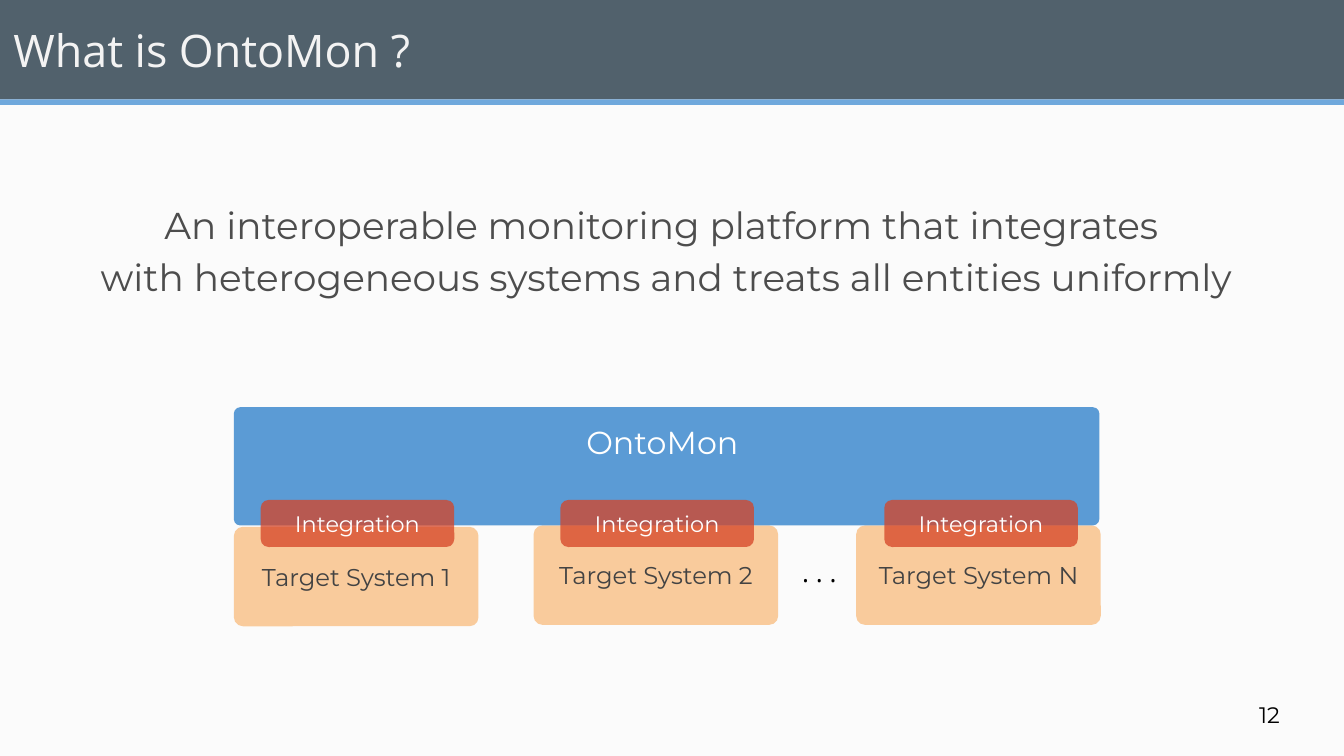
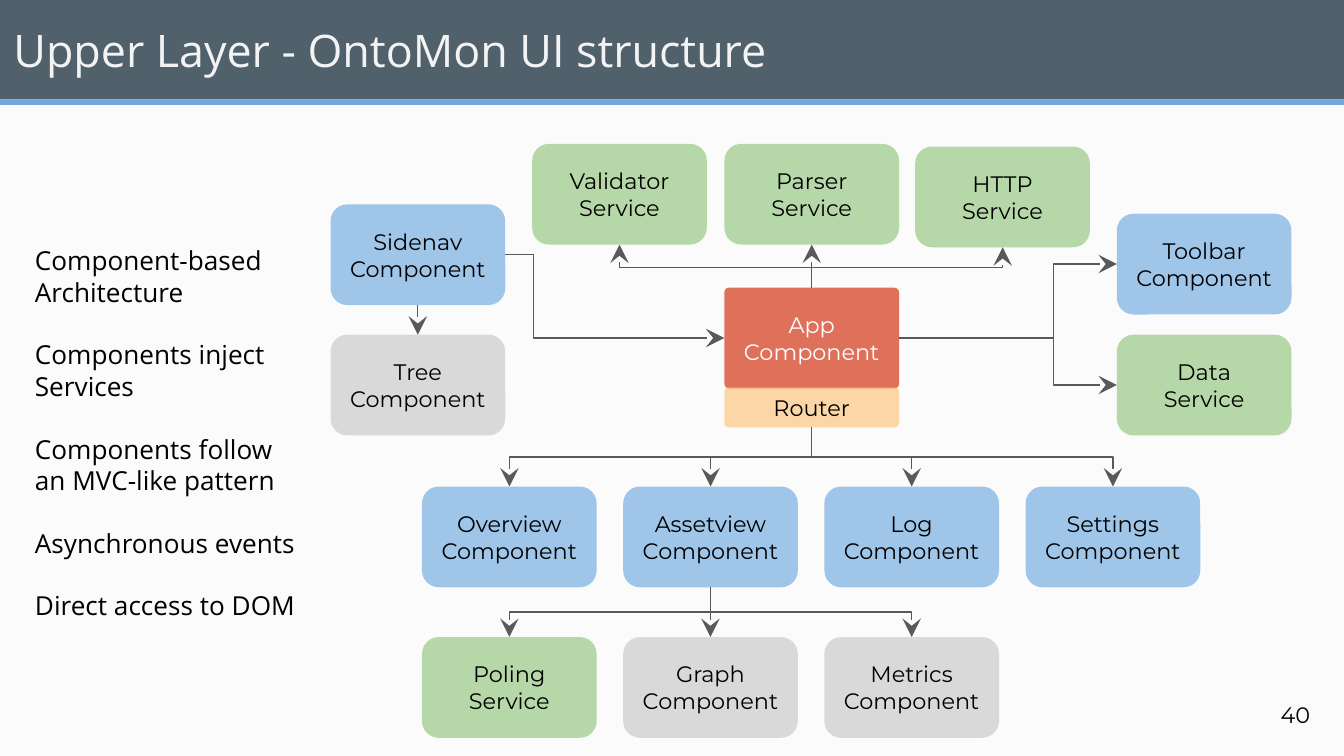
from lxml import etree
from pptx import Presentation
from pptx.dml.color import RGBColor
from pptx.enum import shapes, text
from pptx.oxml.ns import qn
from pptx.util import Inches, Pt

COLORS = {
    "background": "FBFBFB", "band": "51616C", "stripe": "6FA8DC", "title": "F3F3F3",
    "statement": "4D4D4D", "dark": "434343", "black": "000000", "white": "FFFFFF",
    "platform": "5B9BD5", "target": "F9CB9C", "red": "D64426", "router": "FFAB40",
    "service": "B6D7A8", "component": "9FC5E8", "view": "D9D9D9", "line": "595959",
}
HEADING_FONT = "Open Sans"
LABEL_FONT = "Montserrat"
TOP, LEFT, BOTTOM, RIGHT = range(4)
NODE_W, NODE_H = 1.3, 0.75


def rgb(name):
    return RGBColor.from_string(COLORS[name])


def place(sp, box):
    sp.left, sp.top, sp.width, sp.height = map(Inches, box)


def write(sp, lines, size, color, font=LABEL_FONT, align=text.PP_ALIGN.CENTER,
          anchor=text.MSO_ANCHOR.MIDDLE, spacing=1.0):
    tf = sp.text_frame
    tf.text = "\n".join(lines)
    tf.word_wrap = True
    tf.auto_size = text.MSO_AUTO_SIZE.NONE
    tf.vertical_anchor = anchor
    tf.margin_left = tf.margin_right = tf.margin_top = tf.margin_bottom = Inches(0.1)
    for p in tf.paragraphs:
        p.alignment = align
        p.line_spacing = spacing
        p.space_before = Pt(0)
        for r in p.runs:
            r.font.name = font
            r.font.size = Pt(size)
            r.font.color.rgb = rgb(color)


def write_body(sp, box, groups, gap=0, **style):
    place(sp, box)
    write(sp, [line for group in groups for line in group], **style)
    paragraphs = sp.text_frame.paragraphs
    for p in paragraphs:
        pPr = p._p.get_or_add_pPr()
        pPr.set("marL", "0")
        pPr.set("indent", "0")
        etree.SubElement(pPr, qn("a:buNone"))
    first = 0
    for group in groups[:-1]:
        first += len(group)
        paragraphs[first].space_before = Pt(gap)


def add_label(slide, box, lines, **style):
    sp = slide.shapes.add_textbox(*map(Inches, box))
    write(sp, lines, **style)


def add_block(slide, box, fill, radius=None, alpha=None):
    kind = shapes.MSO_SHAPE.RECTANGLE if radius is None else shapes.MSO_SHAPE.ROUNDED_RECTANGLE
    sp = slide.shapes.add_shape(kind, *map(Inches, box))
    sp.shadow.inherit = False
    sp.fill.solid()
    sp.fill.fore_color.rgb = rgb(fill)
    sp.line.fill.background()
    if radius is not None:
        sp.adjustments[0] = radius
    if alpha is not None:
        color = next(sp._element.spPr.iter(qn("a:srgbClr")))
        etree.SubElement(color, qn("a:alpha")).set("val", str(alpha * 1000))
    return sp


def turn_vertical(line):
    x1, y1, x2, y2 = line.begin_x, line.begin_y, line.end_x, line.end_y
    w, h = abs(y2 - y1), abs(x2 - x1)
    line.left, line.top = (x1 + x2 - w) // 2, (y1 + y2 - h) // 2
    line.width, line.height = w, h
    line.rotation = 90 if x2 < x1 else 270
    xfrm = line._element.spPr.find(qn("a:xfrm"))
    xfrm.set("flipH", str(int((y2 > y1) == (line.rotation == 270))))
    xfrm.set("flipV", "0")


def connect(slide, start, start_site, end, end_site, bend=0.5):
    line = slide.shapes.add_connector(shapes.MSO_CONNECTOR.ELBOW, 0, 0, 0, 0)
    line.begin_connect(start, start_site)
    line.end_connect(end, end_site)
    if start_site in (TOP, BOTTOM):
        turn_vertical(line)
    line.line.color.rgb = rgb("line")
    line.line.width = Pt(0.75)
    spPr = line._element.spPr
    guides = spPr.find(qn("a:prstGeom")).find(qn("a:avLst"))
    guide = etree.SubElement(guides, qn("a:gd"))
    guide.set("name", "adj1")
    guide.set("fmla", f"val {round(bend * 100000)}")
    tail = etree.SubElement(spPr.find(qn("a:ln")), qn("a:tailEnd"))
    for key, value in (("type", "stealth"), ("w", "lg"), ("len", "lg")):
        tail.set(key, value)
    etree.SubElement(spPr, qn("a:effectLst"))


def new_slide(prs, title, number, number_box):
    slide = prs.slides.add_slide(prs.slide_layouts[1])
    sp = slide.shapes.title
    place(sp, (0, 0, 10, 0.74))
    sp.fill.solid()
    sp.fill.fore_color.rgb = rgb("band")
    write(sp, [title], 24, "title", HEADING_FONT, text.PP_ALIGN.LEFT)
    add_block(slide, (0, 0.74, 10, 0.04), "stripe")
    add_label(slide, number_box, [number], size=12, color="black", align=text.PP_ALIGN.LEFT)
    return slide


def draw_platform(slide, box):
    x, y, w, h = box
    target_w, target_h, tab_w, tab_h = 1.82, 0.74, 1.44, 0.35
    seam = y + h - target_h
    targets = (("1", 0, 0.01, 0.2), ("2", 2.23, 0, 0.2), ("N", 4.63, 0, 0.21))
    for name, dx, dy, _ in targets:
        sp = add_block(slide, (x + dx, seam + dy, target_w, target_h), "target", 0.09)
        write(sp, [f"Target System {name}"], 13, "dark")
    add_label(slide, (x + 4.13, seam + 0.24, 0.5, 0.18), [". . ."], size=14, color="black",
              font=HEADING_FONT, align=text.PP_ALIGN.LEFT, spacing=1.15)
    sp = add_block(slide, (x, y, w, h - target_h), "platform", 0.055)
    write(sp, ["OntoMon "], 17, "white", anchor=text.MSO_ANCHOR.TOP)
    for _, dx, _, inset in targets:
        sp = add_block(slide, (x + dx + inset, seam - 0.19, tab_w, tab_h), "red", 0.167, 75)
        write(sp, ["Integration"], 12, "white")


def draw_structure(slide, box):
    x, y, w, h = box
    right, bottom = w - NODE_W, h - NODE_H
    app_x, app_y, row_x, step = 2.93, 1.07, 0.68, 1.497
    nodes = {}

    def node(name, kind, dx, dy):
        sp = add_block(slide, (x + dx, y + dy, NODE_W, NODE_H), kind, 0.167)
        role = "Service" if kind == "service" else "Component"
        write(sp, [name, role], 12, "black")
        nodes[name] = sp

    services = (("Validator", 1.5, 0, 0.47), ("Parser", app_x, 0, 0.5), ("HTTP", 4.35, 0.02, 0.5))
    pages = ("Overview", "Assetview", "Log", "Settings")
    parts = (("Poling", "service"), ("Graph", "view"), ("Metrics", "view"))
    for name, dx, dy, _ in services:
        node(name, "service", dx, dy)
    for i, name in enumerate(pages):
        node(name, "component", row_x + i * step, 2.55)
    for i, (name, kind) in enumerate(parts):
        node(name, kind, row_x + i * step, bottom)
    node("Sidenav", "component", 0, 0.45)
    node("Tree", "view", 0, 1.42)
    node("Toolbar", "component", right, 0.52)
    node("Data", "service", right, 1.42)

    app = add_block(slide, (x + app_x, y + app_y, NODE_W, NODE_H), "red", 0.047, 75)
    write(app, ["App", "Component"], 12, "white")
    router_box = (x + app_x, y + app_y + NODE_H - 0.01, NODE_W, 0.3)
    router = add_block(slide, router_box, "router", 0.115, 45)
    write(router, ["Router"], 12, "black")

    for name, _, _, bend in services:
        connect(slide, app, TOP, nodes[name], BOTTOM, bend)
    for name in pages:
        connect(slide, router, BOTTOM, nodes[name], TOP)
    for name, _ in parts:
        connect(slide, nodes["Assetview"], BOTTOM, nodes[name], TOP)
    for name in ("Toolbar", "Data"):
        connect(slide, app, RIGHT, nodes[name], LEFT, 0.71)
    connect(slide, nodes["Sidenav"], BOTTOM, nodes["Tree"], TOP)
    connect(slide, nodes["Sidenav"], RIGHT, app, LEFT, 0.13)


def build_intro(prs):
    slide = new_slide(prs, "What is OntoMon ?", "12", (9.27, 5.1, 0.6, 0.43))
    write_body(slide.placeholders[1], (0.3, 1.14, 9.32, 1.4), [[
        "An interoperable monitoring platform that integrates ",
        "with heterogeneous systems and treats all entities uniformly",
    ]], size=20, color="statement", spacing=1.15)
    draw_platform(slide, (1.74, 3.03, 6.44, 1.62))


def build_structure(prs):
    slide = new_slide(prs, "Upper Layer - OntoMon UI structure", "40", (9.43, 5.1, 0.43, 0.43))
    write_body(slide.placeholders[1], (0.16, 1.72, 2.2, 3.22), [
        ["Component-based", "Architecture"],
        ["Components inject", "Services"],
        ["Components follow an MVC-like pattern"],
        ["Asynchronous events"],
        ["Direct access to DOM"],
    ], gap=16.8, size=14, color="black", font=HEADING_FONT, align=text.PP_ALIGN.LEFT,
        anchor=text.MSO_ANCHOR.TOP)
    draw_structure(slide, (2.46, 1.07, 7.15, 4.42))


def main():
    prs = Presentation()
    prs.slide_width = Inches(10)
    prs.slide_height = prs.slide_width * 9 // 16
    fill = prs.slide_master.background.fill
    fill.solid()
    fill.fore_color.rgb = rgb("background")
    build_intro(prs)
    build_structure(prs)
    prs.save("out.pptx")


if __name__ == "__main__":
    main()
